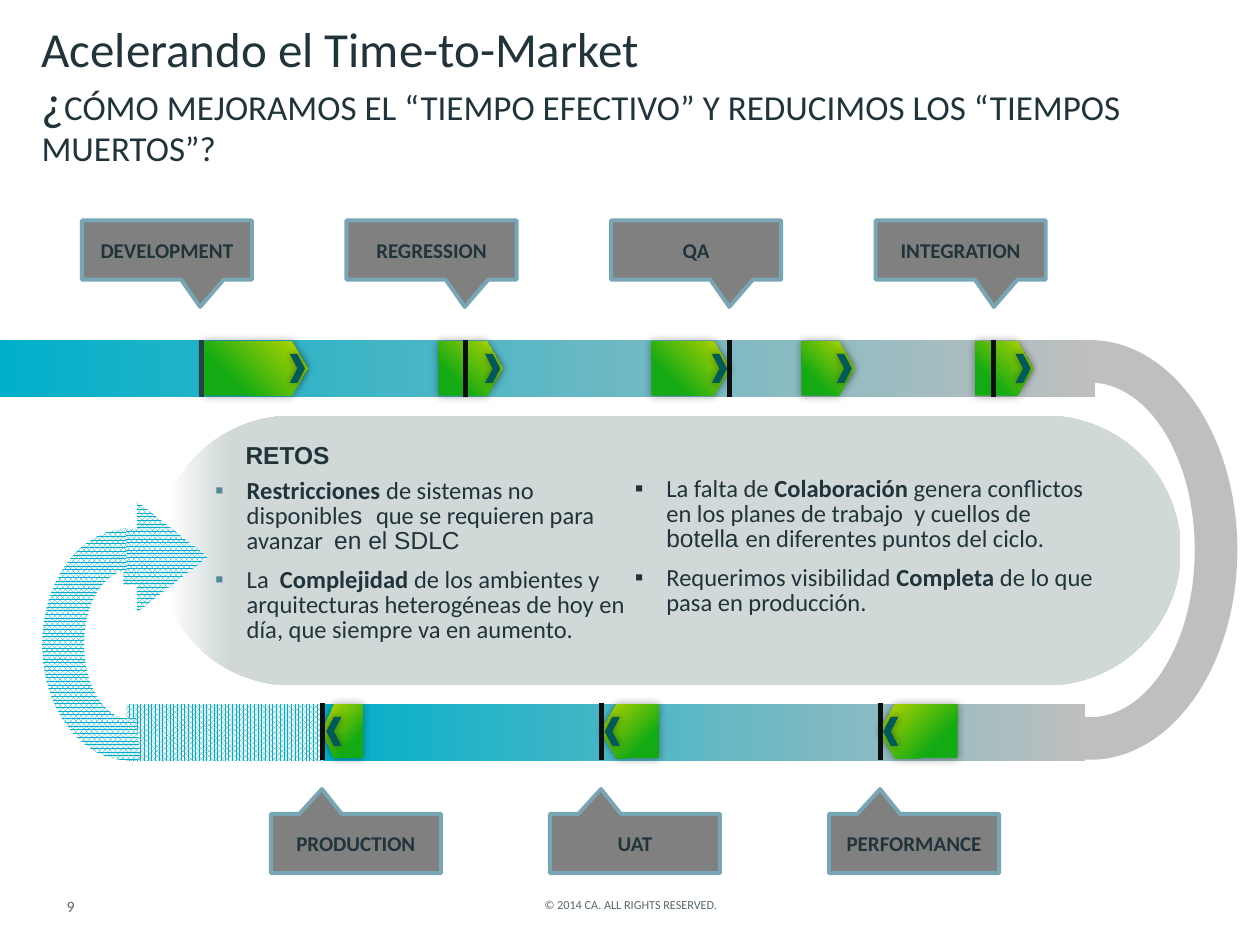
"""Build the Time-to-Market slide: a looped delivery track around its challenges."""
from lxml import etree
from pptx import Presentation
from pptx import util as u
from pptx.dml.color import RGBColor
from pptx.enum import dml, shapes, text
from pptx.oxml.ns import qn

hue = RGBColor.from_string
kind = shapes.MSO_SHAPE
INK, CYAN, GREY = "20343A", "00B0CA", "BFBFBF"
FADE = {"ang": 180, "stops": [(0, GREY), (1, CYAN)]}
LIME = {"ang": 45, "stops": [(0.27, "14AA13"), (1, "BED600")]}
WEAVE = (CYAN, "FFFFFF")


def draw(host, form, box, paint, adj=(), flip=False, turn=0, glow=False):
    """Add a preset shape with a solid, patterned or gradient fill."""
    item = host.add_shape(form, *[u.Inches(n) for n in box])
    item.shadow.inherit = False
    item.line.fill.background()
    item.rotation = turn
    for i, size in enumerate(adj):
        item.adjustments[i] = size
    if flip:
        item._element.spPr.xfrm.set("flipH", "1")
    fill = item.fill
    if isinstance(paint, dict):
        fill.gradient()
        fill.gradient_angle = paint["ang"]
        for stop, (spot, tone) in zip(fill.gradient_stops, paint["stops"]):
            stop.position = spot
            stop.color.rgb = hue(tone)
    elif isinstance(paint, tuple):
        fill.patterned()
        fill.pattern = dml.MSO_PATTERN.PERCENT_80
        fill.fore_color.rgb, fill.back_color.rgb = map(hue, paint)
    else:
        fill.solid()
        fill.fore_color.rgb = hue(paint)
    if glow:
        list_ = item._element.spPr.find(qn("a:effectLst"))
        cast = etree.SubElement(list_, qn("a:outerShdw"), blurRad="63500", dist="0", dir="0")
        tone = etree.SubElement(cast, qn("a:srgbClr"), val="000000")
        etree.SubElement(tone, qn("a:alpha"), val="40000")
    return item


def write(para, runs, look):
    """Add runs of (words, changes) to a paragraph, breaking at newlines."""
    for words, change in runs:
        for i, part in enumerate(words.split("\n")):
            if i:
                para.add_line_break()
            run = para.add_run()
            run.text = part
            style = {"name": "Calibri", "tone": INK, **look, **change}
            run.font.color.rgb = hue(style.pop("tone"))
            for key, val in style.items():
                setattr(run.font, key, val)


deck = Presentation()
deck.slide_width, deck.slide_height = u.Inches(10), u.Inches(7.5)
slide = deck.slides.add_slide(deck.slide_layouts[6])
tree = slide.shapes
mid, left = text.PP_ALIGN.CENTER, text.PP_ALIGN.LEFT

draw(tree, kind.ROUNDED_RECTANGLE, (1.25, 3.3, 8.12, 2.14),
     {"ang": 0, "stops": [(0.01, "FFFFFF"), (0.07, "D0D8D8")]}, [0.5])
draw(tree, kind.RECTANGLE, (0, 2.7, 8.69, 0.45), FADE)
draw(tree, kind.RECTANGLE, (2.56, 5.59, 6.05, 0.45), FADE)
draw(tree, kind.BLOCK_ARC, (6.99, 3.2, 3.33, 2.33), GREY, [108, 2.41, 0.145], turn=90)
draw(tree, kind.LEFT_ARROW, (0.98, 3.98, 0.67, 0.88), WEAVE, [0.51, 0.84], flip=True)

rows = [
    (["DEVELOPMENT", "REGRESSION", "QA", "INTEGRATION"], 0.65, 2.1, 1.75, (-0.195, 0.96)),
    (["PRODUCTION", "UAT", "PERFORMANCE"], 2.15, 2.215, 6.46, (0.2, -0.92)),
]
for names, start, step, top, tip in rows:
    for i, name in enumerate(names):
        call = draw(tree, kind.RECTANGULAR_CALLOUT, (start + i * step, top, 1.35, 0.47),
                    "808080", tip, flip=True)
        call.line.color.rgb = hue("78A6B4")
        call.line.width = u.Pt(2.25)
        call.text_frame.vertical_anchor = text.MSO_ANCHOR.MIDDLE
        para = call.text_frame.paragraphs[0]
        para.alignment = mid
        write(para, [(name, {})], {"size": u.Pt(12), "bold": True})

bold, arial = {"bold": True}, {"name": "Arial"}
lists = [
    ((1.61, 3.76, 3.55, 1.41), "548999", [
        [("Restricciones ", bold), ("de sistemas no disponible", {}), ("s  ", arial),
         ("que se requieren para avanzar  ", {}), ("en el SDLC", arial)],
        [("La  ", {}), ("Complejidad ", bold),
         ("de los ambientes y arquitecturas heterogéneas de hoy en día, "
          "que siempre va en aumento.", {})]]),
    ((4.94, 3.74, 3.95, 1.21), INK, [
        [("La falta de ", {}), ("Colaboración", bold),
         (" genera conflictos en los planes de trabajo  y cuellos de ", {}),
         ("botella ", arial), ("en diferentes puntos del ciclo.", {})],
        [("Requerimos visibilidad ", {}), ("Completa", bold),
         (" de lo que pasa en producción.", {})]]),
]
for box, tone, items in lists:
    frame = tree.add_textbox(*[u.Inches(n) for n in box]).text_frame
    frame.word_wrap = True
    for i, runs in enumerate(items):
        para = frame.add_paragraph() if i else frame.paragraphs[0]
        props = para._p.get_or_add_pPr()
        props.set("marL", str(u.Inches(0.25)))
        props.set("indent", str(u.Inches(-0.25)))
        mark = etree.SubElement(props, qn("a:buClr"))
        etree.SubElement(mark, qn("a:srgbClr"), val=tone)
        etree.SubElement(props, qn("a:buFont"), typeface="Arial")
        etree.SubElement(props, qn("a:buChar"), char="▪")
        for key, val in {"line_spacing": 0.85, "space_after": u.Pt(8)}.items():
            setattr(para, key, val)
        write(para, runs, {"size": u.Pt(14), "bold": False})

title = [("Acelerando el Time-to-Market\n¿", {"size": u.Pt(28)}),
         ("CÓMO MEJORAMOS EL “TIEMPO EFECTIVO” Y REDUCIMOS LOS “TIEMPOS MUERTOS”?",
          {"size": u.Pt(20)})]
small = {"tone": "58676D"}
notes = [
    ((0.33, 0.2, 9.34, 1.22), title, {}, left, 0.9, 0, True),
    ((1.85, 3.44, 0.88, 0.34), [("RETOS", arial)],
     {"size": u.Pt(14), "bold": True}, left, 1, None, False),
    ((0.43, 7.07, 0.58, 0.37), [("9", small)], {"size": u.Pt(9)}, left, 1, None, True),
    ((1.37, 7.07, 7.27, 0.37), [("© 2014 CA. ALL RIGHTS RESERVED.", small)],
     {"size": u.Pt(7)}, mid, 1, None, True),
]
for box, runs, look, align, lead, pad, wrap in notes:
    frame = tree.add_textbox(*[u.Inches(n) for n in box]).text_frame
    frame.word_wrap = wrap
    if pad is not None:
        for side in ("left", "top", "right", "bottom"):
            setattr(frame, "margin_" + side, u.Inches(pad))
    para = frame.paragraphs[0]
    para.alignment, para.line_spacing = align, lead
    write(para, runs, look)

draw(tree, kind.RECTANGLE, (1, 5.59, 1.56, 0.45), WEAVE)
draw(tree, kind.BLOCK_ARC, (0.1, 4.43, 1.84, 1.37), WEAVE, [108.82, 3.55, 0.243],
     flip=True, turn=270)

tracks = [
    (2.71, False, [(1.62, 0.82), (3.48, 0.51), (5.17, 0.62), (6.36, 0.42), (7.74, 0.46)]),
    (5.59, True, [(6.98, 0.62), (4.77, 0.46), (2.56, 0.32)]),
]
for top, back, plates in tracks:
    for x, wide in plates:
        pair = tree.add_group_shape().shapes
        draw(pair, kind.PENTAGON, (x, top, wide, 0.43), LIME, [0.291], back, glow=True)
        spot = x + 0.03 if back else x + wide - 0.14
        draw(pair, kind.CHEVRON, (spot, top + 0.1, 0.12, 0.23), "005A5A", (), back, glow=True)

for count, start, step, top in [(4, 1.6, 2.095, 2.7), (3, 2.56, 2.215, 5.58)]:
    for i in range(count):
        x = u.Inches(start + i * step)
        tick = tree.add_connector(shapes.MSO_CONNECTOR.STRAIGHT, x, u.Inches(top),
                                  x, u.Inches(top + 0.45))
        tick.line.color.rgb = hue("274048" if start == 1.6 and i == 0 else "0D0D0D")
        tick.line.width = u.Pt(3)
        etree.SubElement(tick._element.spPr, qn("a:effectLst"))

deck.save("out.pptx")
